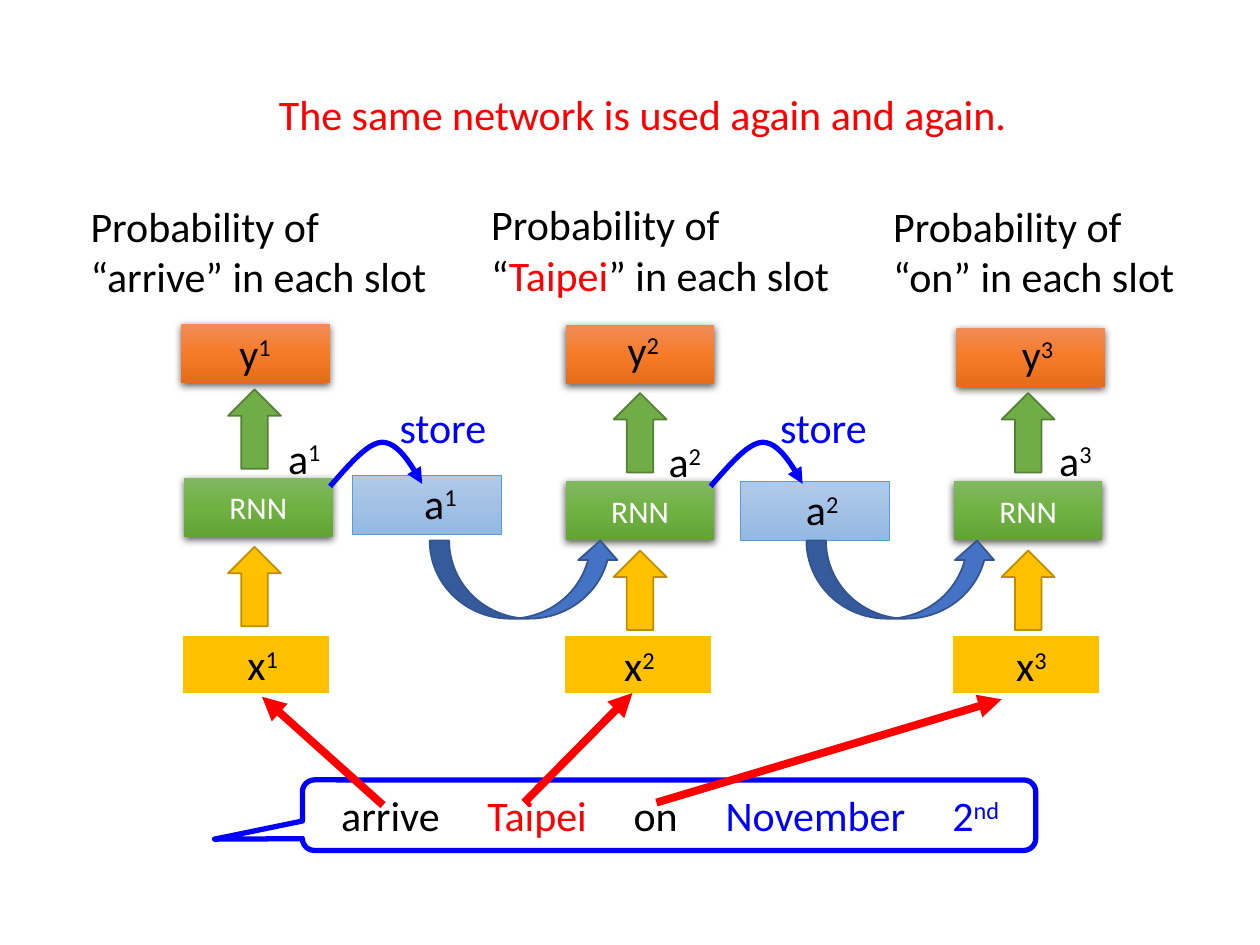
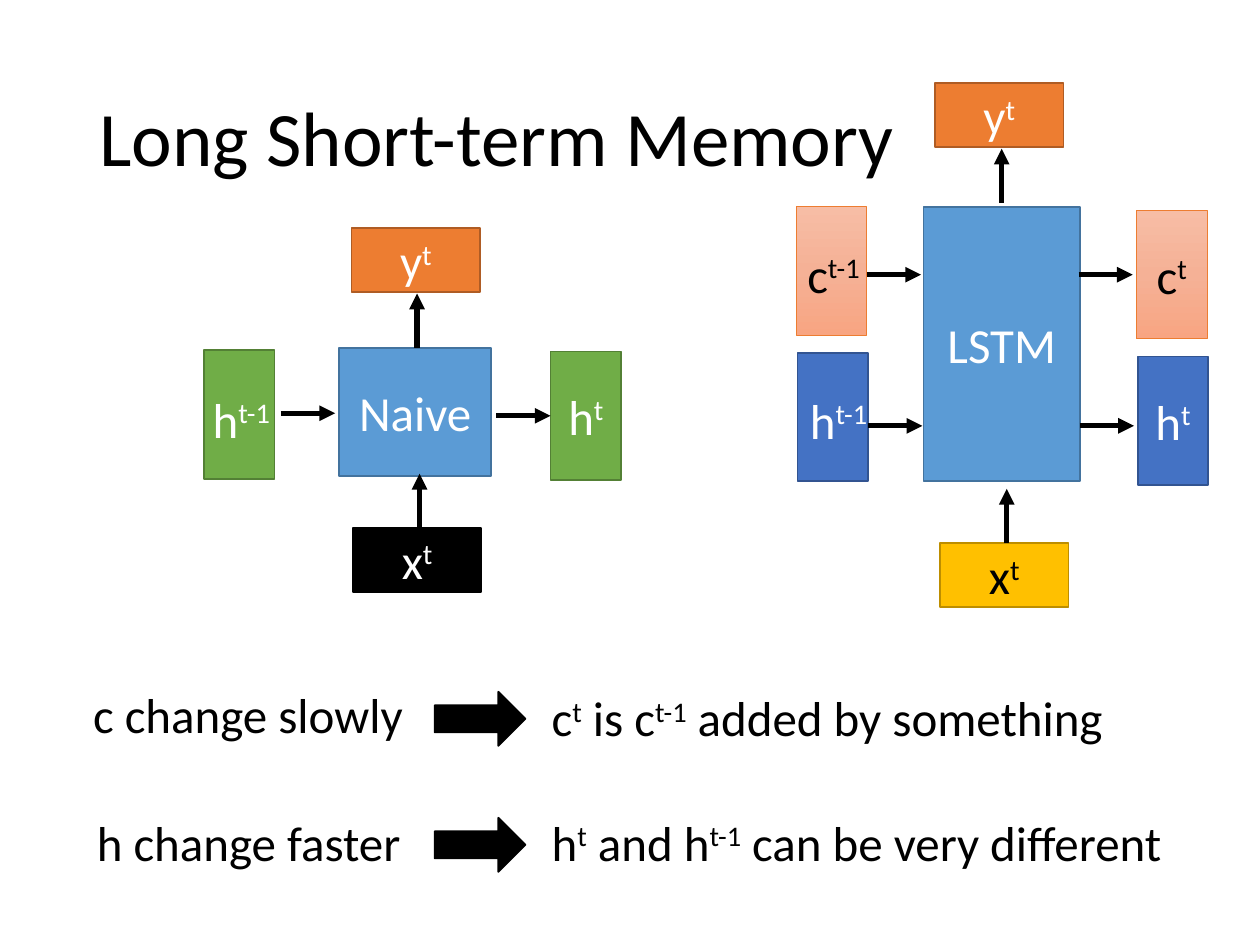
from lxml import etree
from pptx import Presentation
from pptx.dml.color import RGBColor
from pptx.enum.shapes import MSO_CONNECTOR, MSO_SHAPE
from pptx.enum.text import MSO_ANCHOR, MSO_AUTO_SIZE, PP_ALIGN
from pptx.oxml.ns import qn
from pptx.util import Inches, Pt

RECT = MSO_SHAPE.RECTANGLE
UP_ARROW = MSO_SHAPE.UP_ARROW
RIGHT_ARROW = MSO_SHAPE.RIGHT_ARROW
CURVED_ARROW = MSO_SHAPE.CURVED_UP_ARROW
CALLOUT = MSO_SHAPE.ROUNDED_RECTANGULAR_CALLOUT
STRAIGHT = MSO_CONNECTOR.STRAIGHT
LEFT, CENTER = PP_ALIGN.LEFT, PP_ALIGN.CENTER
MIDDLE, TOP = MSO_ANCHOR.MIDDLE, MSO_ANCHOR.TOP
GROW = MSO_AUTO_SIZE.SHAPE_TO_FIT_TEXT

FONT = "Calibri"
COLUMNS, ROWS = 100, 75
COLORS = {
    "black": "000000", "white": "FFFFFF", "red": "FF0000", "blue": "0000FF",
    "gold": "FFC000", "dark gold": "BD8E00", "green": "70AD47", "dark green": "538035",
    "indigo": "4472C4", "dark indigo": "325491", "sky": "5B9BD5", "dark sky": "43739E",
    "orange": "ED7D31", "dark orange": "AF5C24",
    "leaf 1": "81B861", "leaf 2": "6FB242", "leaf 3": "62A336",
    "flame 1": "F18C57", "flame 2": "F67B28", "flame 3": "E56C19",
    "mist 1": "B1CBE9", "mist 2": "A3C1E5", "mist 3": "93B9E4",
    "peach 1": "F7BDA5", "peach 2": "F5B196", "peach 3": "F8A582",
}
# look: (fill, or the name of a three-step gradient; line colour; line width)
LOOKS = {
    "input": ("gold", "white", 1.5),
    "network": ("leaf", None, 0),
    "output": ("flame", None, 0),
    "memory": ("mist", "sky", 0.5),
    "cell state": ("peach", "orange", 0.5),
    "bubble": (None, "blue", 3),
    "solid black": ("black", "black", 1),
    **{name: (name, f"dark {name}", 1)
       for name in ("gold", "green", "indigo", "sky", "orange")},
}
RAISED = ("network", "output")


class Deck:
    """Draws on the current slide, measured in grid columns and rows."""

    def __init__(self):
        self.show = Presentation()
        self.show.slide_width, self.show.slide_height = Inches(10), Inches(7.5)
        self.slide = None

    def new_slide(self):
        self.slide = self.show.slides.add_slide(self.show.slide_layouts[6])

    def color(self, name):
        return RGBColor.from_string(COLORS[name])

    def across(self, columns):
        return round(self.show.slide_width * columns / COLUMNS)

    def down(self, rows):
        return round(self.show.slide_height * rows / ROWS)

    def area(self, left, top, width, height):
        return self.across(left), self.down(top), self.across(width), self.down(height)

    def add_words(self, frame, parts, size, color, align):
        """Fill a frame; parts are strings or (string, colour), with ^...^ raised."""
        paragraph = frame.paragraphs[0]
        paragraph.alignment = align
        for part in [parts] if isinstance(parts, str) else parts:
            words, tint = (part, color) if isinstance(part, str) else part
            for index, piece in enumerate(words.split("^")):
                if not piece:
                    continue
                run = paragraph.add_run()
                run.text = piece
                run.font.name, run.font.size = FONT, Pt(size)
                run.font.color.rgb = self.color(tint)
                if index % 2:
                    run.font._element.set("baseline", "30000")
        return paragraph

    def text(self, parts, area, size=24, color="black", align=LEFT, wrap=True, anchor=TOP):
        frame = self.slide.shapes.add_textbox(*self.area(*area)).text_frame
        frame.word_wrap, frame.vertical_anchor = wrap, anchor
        if anchor == TOP:
            frame.auto_size = GROW
        return self.add_words(frame, parts, size, color, align)

    def shape(self, kind, look, area, words=None, size=28, color="white"):
        shape = self.slide.shapes.add_shape(kind, *self.area(*area))
        shape.shadow.inherit = False
        fill, line, width = LOOKS[look]
        if fill is None:
            shape.fill.background()
        elif fill in COLORS:
            shape.fill.solid()
            shape.fill.fore_color.rgb = self.color(fill)
        else:
            self.gradient(shape, fill)
        if line:
            shape.line.color.rgb, shape.line.width = self.color(line), Pt(width)
        else:
            shape.line.fill.background()
        if look in RAISED:
            self.raise_up(shape)
        if words:
            shape.text_frame.vertical_anchor = MIDDLE
            shape.text_frame.word_wrap = True
            self.add_words(shape.text_frame, words, size, color, CENTER)
        return shape

    def gradient(self, shape, family):
        shape.fill.gradient()
        shape.fill.gradient_angle = 270
        stops = shape._element.spPr.find(".//" + qn("a:gsLst"))
        for stop in list(stops):
            stops.remove(stop)
        for step in range(3):
            stop = etree.SubElement(stops, qn("a:gs"), pos=str(step * 50000))
            etree.SubElement(stop, qn("a:srgbClr"), val=COLORS[f"{family} {step + 1}"])

    def raise_up(self, shape):
        """Give the shape a soft shadow below it."""
        effects = shape._element.spPr.find(qn("a:effectLst"))
        shadow = etree.SubElement(effects, qn("a:outerShdw"), blurRad=str(Pt(4.5)),
                                  dist=str(Pt(1.5)), dir="5400000", algn="ctr", rotWithShape="0")
        tint = etree.SubElement(shadow, qn("a:srgbClr"), val=COLORS["black"])
        etree.SubElement(tint, qn("a:alpha"), val="63000")

    def pointed(self, item, color, width):
        """Style a line and put an arrowhead at its end."""
        item.line.color.rgb, item.line.width = self.color(color), Pt(width)
        outline = item._element.spPr.find(qn("a:ln"))
        etree.SubElement(outline, qn("a:tailEnd"), type="triangle")

    def arrow(self, start, end, color="black", width=3):
        line = self.slide.shapes.add_connector(
            STRAIGHT, self.across(start[0]), self.down(start[1]),
            self.across(end[0]), self.down(end[1]))
        etree.SubElement(line._element.spPr, qn("a:effectLst"))
        self.pointed(line, color, width)

    def curve(self, start, bends, color, steps=12):
        """Follow cubic bends, whose points are offsets from the start."""
        trail, here = [], (0, 0)
        for first, second, end in bends:
            for t in (n / steps for n in range(1, steps + 1)):
                weights = (1 - t) ** 3, 3 * t * (1 - t) ** 2, 3 * t * t * (1 - t), t ** 3
                x, y = (sum(w * p[axis] for w, p in zip(weights, (here, first, second, end)))
                        for axis in (0, 1))
                trail.append((self.across(start[0] + x), self.down(start[1] + y)))
            here = end
        builder = self.slide.shapes.build_freeform(self.across(start[0]), self.down(start[1]))
        builder.add_line_segments(trail, close=False)
        bow = builder.convert_to_shape()
        bow.shadow.inherit = False
        bow.fill.background()
        self.pointed(bow, color, 3)


# Per time step: box left, output offset, output top, arrow left, drop, and label corners.
STEPS = [
    dict(left=14.4, shift=0, output=25.7, arrow=18.1, drop=0,
         x=(15.9, 50.2), y=(15.3, 25.5), a=(21, 33.8)),
    dict(left=44.7, shift=0.2, output=25.8, arrow=48.7, drop=0.3,
         x=(45.8, 50.3), y=(46.1, 25.3), a=(51.2, 34.1)),
    dict(left=75.5, shift=0.4, output=26, arrow=79.5, drop=0.3,
         x=(76.9, 50.3), y=(77.4, 25.6), a=(82.2, 34)),
]
# Per stored value: box corner, its label, "store" label left, curve left, return arrow left.
STORES = [
    ((28, 37.7), (30, 37.4), 29.4, 26.2, 34.1),
    ((58.8, 38.2), (60.3, 37.9), 59.6, 56.4, 64),
]
STORE_BENDS = [((1.5, -1.7), (2.9, -3.4), (4.1, -3.5)), ((5.4, -3.5), (6.4, -1.8), (7.3, -0.2))]
HEADINGS = [
    (6.2, 15.4, 29.5, "Probability of “arrive” in each slot"),
    (38, 15.3, 29.5, ["Probability of “", ("Taipei", "red"), "” in each slot"]),
    (69.9, 15.4, 25.5, "Probability of “on” in each slot"),
]
WORD_ARROWS = [((30.4, 63.9), (20.8, 55.3)), ((41.6, 63.7), (50.2, 55)),
               ((52.1, 63.7), (79.5, 55.5))]


def unrolled_network(deck):
    deck.new_slide()
    box, block_arrow = (11.8, 4.7), (4.2, 6.3)
    deck.text("The same network is used again and again.", (21.1, 6.5, 59.8, 5),
              color="red", align=CENTER)
    for number, step in enumerate(STEPS, 1):
        left, drop = step["left"], step["drop"]
        deck.shape(RECT, "input", (left, 50.4, *box))
        deck.shape(RECT, "network", (left + 0.2, 37.9 + drop, *box), "RNN", 18)
        deck.shape(RECT, "output", (left + step["shift"], step["output"], *box))
        deck.shape(UP_ARROW, "gold", (step["arrow"], 43.4 + drop, *block_arrow))
        deck.shape(UP_ARROW, "green", (step["arrow"], 30.9 + drop, *block_arrow))
        for letter, width in (("x", 9.9), ("y", 9.9), ("a", 6.3)):
            deck.text(f"{letter}^{number}^", (*step[letter], width, 5), align=CENTER)
    for number, (corner, label, store, bend, back) in enumerate(STORES, 1):
        deck.shape(RECT, "memory", (*corner, *box))
        deck.text(f"a^{number}^", (*label, 9.9, 5), align=CENTER)
        deck.text("store", (store, 31.4, 11.5, 5), color="blue", align=CENTER)
        deck.curve((bend, 38.6), STORE_BENDS, "blue")
        deck.shape(CURVED_ARROW, "indigo", (back, 42.9, 15.1, 6.2))
    sentence = deck.text(["arrive\t", ("Taipei\t", "red"), "on\t", ("November\t2^nd^", "blue")],
                         (26.1, 62.2, 56.1, 5))
    tabs = etree.SubElement(sentence._p.get_or_add_pPr(), qn("a:tabLst"))
    for column in (11.6, 23.2, 30.5, 48.5):
        etree.SubElement(tabs, qn("a:tab"), pos=str(deck.across(column)), algn="l")
    bubble = deck.shape(CALLOUT, "bubble", (24, 61.9, 58.2, 5.6))
    for index, value in enumerate((-0.62, 0.34, 0.17)):
        bubble.adjustments[index] = value
    for start, end in WORD_ARROWS:
        deck.arrow(start, end, "red", 4.5)
    for left, top, width, heading in HEADINGS:
        deck.text(heading, (left, top, width, 9.1))


# Cells: shape look, area, words, text colour.
SIDE, FLAT = (5.6, 10.2), (10.2, 5.1)
CELLS = [
    ("green", (16.2, 27.8, *SIDE), None, "white"),
    ("sky", (26.9, 27.6, 12.1, 10.2), "Naive", "white"),
    ("green", (43.7, 27.9, *SIDE), "h^t^", "white"),
    ("orange", (27.9, 18.1, *FLAT), "y^t^", "white"),
    ("solid black", (28, 41.9, *FLAT), "x^t^", "white"),
    ("sky", (73.3, 16.4, 12.4, 21.8), "LSTM", "white"),
    ("cell state", (63.2, 16.4, *SIDE), None, "black"),
    ("indigo", (63.3, 28, *SIDE), None, "white"),
    ("cell state", (90.2, 16.7, *SIDE), "c^t^", "black"),
    ("indigo", (90.3, 28.3, *SIDE), "h^t^", "white"),
    ("orange", (74.2, 6.6, *FLAT), "y^t^", "white"),
    ("gold", (74.6, 43.1, *FLAT), "x^t^", "black"),
]
PREVIOUS = [("h^t-1^", (15.6, 30.4, 7.1, 5.7), "white"),
            ("h^t-1^", (63, 30.5, 7.1, 5.7), "white"),
            ("c^t-1^", (62.8, 18.9, 6.7, 5.7), "black")]
FLOW = 4.3
RIGHTWARD = [(22.3, 32.8), (39.4, 33), (68.8, 21.8), (68.9, 33.8), (85.6, 21.8), (85.7, 33.8)]
UPWARD = [(33.1, 27.6), (33.3, 41.9), (79.5, 16.1), (79.9, 43.1)]
# Conclusions: cause and its corner, arrow top, result and its top.
CONCLUSIONS = [
    ("c change slowly", (6.4, 53.8), 54.9, "c^t^ is c^t-1^ added by something", 54.1),
    ("h change faster", (6.7, 64), 64.9, "h^t^ and h^t-1^ can be very different", 64),
]


def long_short_term_memory(deck):
    deck.new_slide()
    title = deck.text("Long Short-term Memory", (6.9, 4, 86.2, 14.5), 44, anchor=MIDDLE)
    title.line_spacing = 0.9
    for cause, corner, arrow_top, result, result_top in CONCLUSIONS:
        deck.text(cause, (*corner, 28.6, 5.7), 28)
        deck.shape(RIGHT_ARROW, "solid black", (34.5, arrow_top, 7.2, 4.3))
        deck.text(result, (42.8, result_top, 54.5, 5.7), 28)
    for look, area, words, color in CELLS:
        deck.shape(RECT, look, area, words, color=color)
    for x, y in RIGHTWARD:
        deck.arrow((x, y), (x + FLOW, y))
    for x, y in UPWARD:
        deck.arrow((x, y), (x, y - FLOW))
    for words, area, color in PREVIOUS:
        deck.text(words, area, 28, color, CENTER, wrap=False)


def main():
    deck = Deck()
    unrolled_network(deck)
    long_short_term_memory(deck)
    deck.show.save("out.pptx")


if __name__ == "__main__":
    main()
